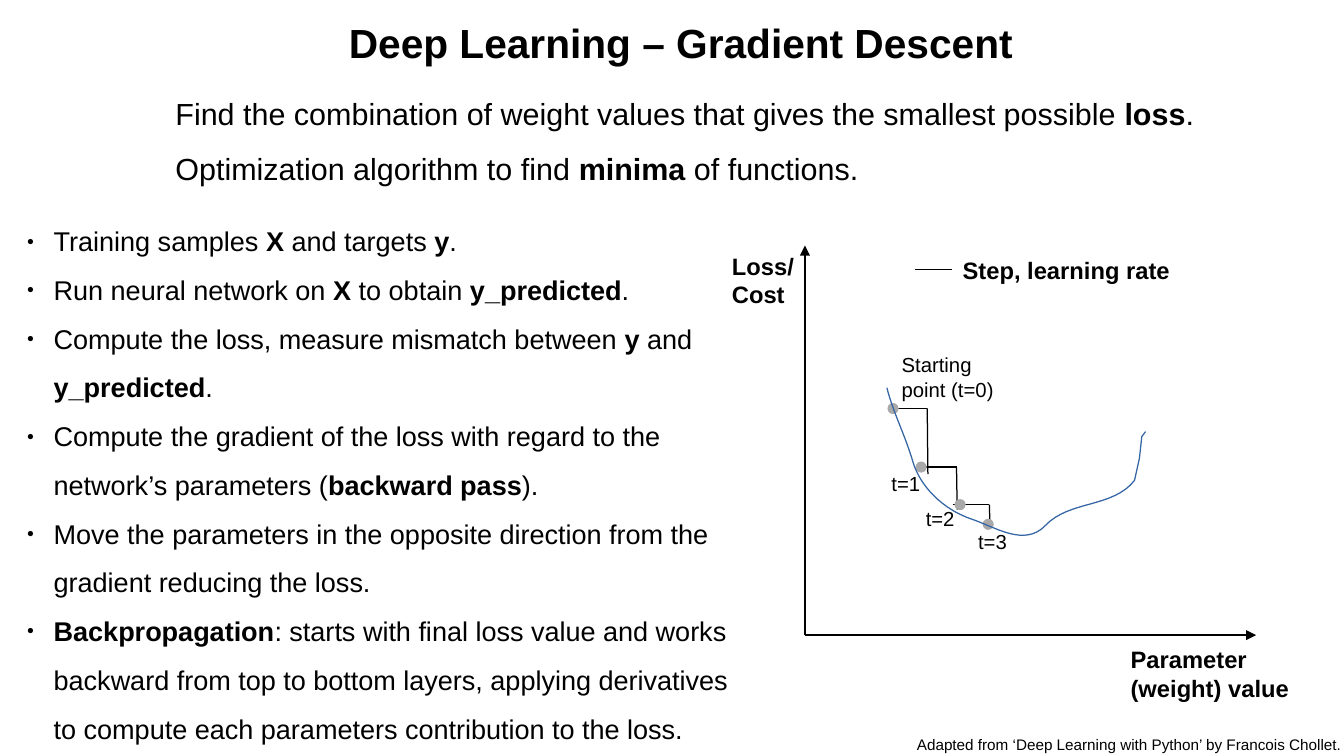
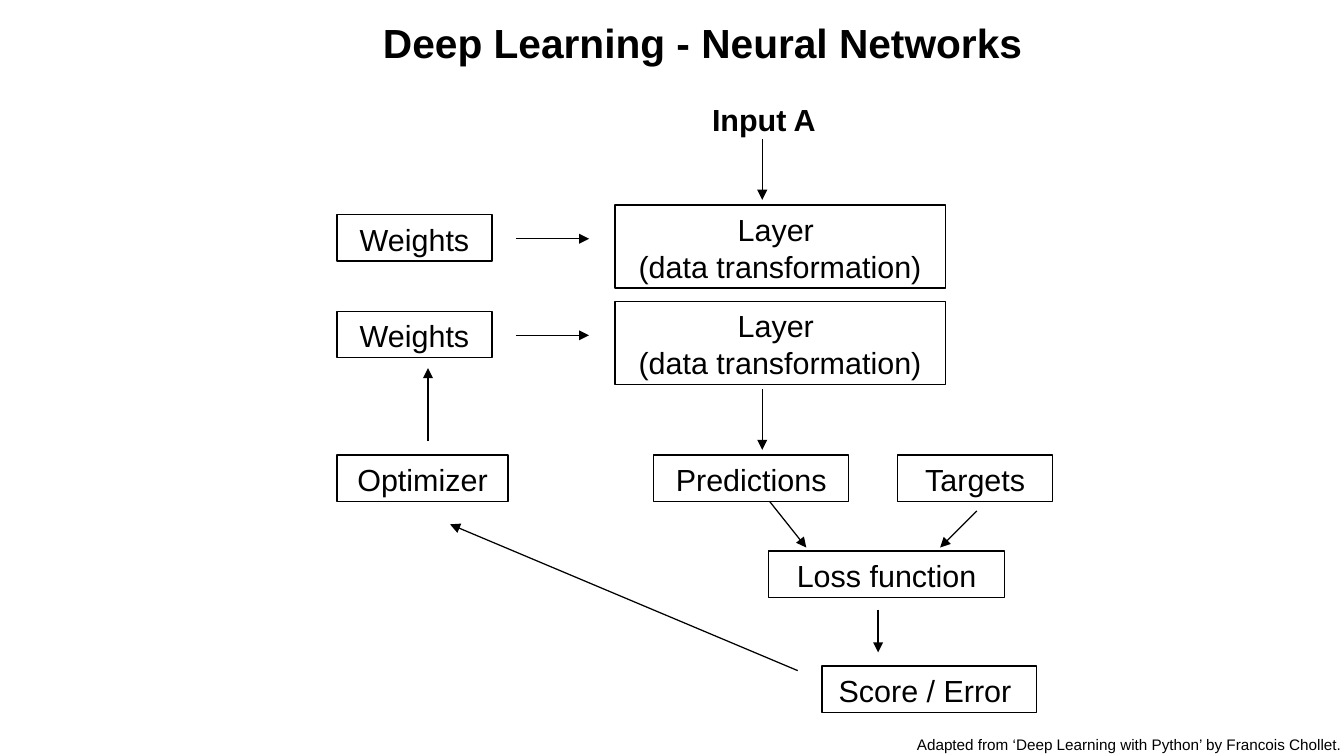
from lxml.etree import SubElement
from pptx import Presentation
from pptx.dml.color import RGBColor
from pptx.enum.shapes import MSO_CONNECTOR, MSO_SHAPE
from pptx.enum.text import MSO_ANCHOR, MSO_AUTO_SIZE, PP_ALIGN
from pptx.oxml.ns import qn
from pptx.util import Pt

WIDE, HIGH = 793.44, 446.4
FONT = "Arial"
HUES = {"ink": "000000", "dot": "A9A9A9", "curve": "3465A4"}
CREDIT = "Adapted from ‘Deep Learning with Python’ by Francois Chollet."

GOALS = [
    "Find the combination of weight values that gives the smallest possible *loss*.",
    "Optimization algorithm to find *minima* of functions.",
]
STEPS = [
    "Training samples *X* and targets *y*.",
    "Run neural network on *X* to obtain *y_predicted*.",
    "Compute the loss, measure mismatch between *y* and *y_predicted*.",
    "Compute the gradient of the loss with regard to the network’s parameters "
    "(*backward pass*).",
    "Move the parameters in the opposite direction from the gradient reducing the loss.",
    "*Backpropagation*: starts with final loss value and works backward from top to "
    "bottom layers, applying derivatives to compute each parameters contribution "
    "to the loss.",
]


def hue(name):
    return RGBColor.from_string(HUES[name])


def place(shape, box):
    shape.left, shape.top, shape.width, shape.height = map(Pt, box)


def shift(box, x, y):
    """Turn a point inside a box into a point on the slide."""
    return box[0] + x, box[1] + y


def bullet(para):
    props = para._p.get_or_add_pPr()
    props.set("marL", str(Pt(17.28)))
    props.set("indent", str(Pt(-15.84)))
    color = SubElement(props, qn("a:buClr"))
    SubElement(color, qn("a:srgbClr")).set("val", HUES["ink"])
    SubElement(props, qn("a:buSzPct")).set("val", "45000")
    SubElement(props, qn("a:buFont")).set("typeface", FONT)
    SubElement(props, qn("a:buChar")).set("char", "●")


def write(shape, lines, size, bold=False, align=PP_ALIGN.LEFT, space=1.0, dots=False):
    """Fill a shape with paragraphs; words between asterisks turn bold."""
    frame = shape.text_frame
    frame.word_wrap = True
    frame.auto_size = MSO_AUTO_SIZE.NONE
    frame.vertical_anchor = MSO_ANCHOR.TOP
    frame.margin_left = frame.margin_right = Pt(7.2)
    frame.margin_top = frame.margin_bottom = Pt(3.6)
    for i, line in enumerate(lines):
        para = frame.add_paragraph() if i else frame.paragraphs[0]
        if dots:
            bullet(para)
        para.alignment = align
        para.line_spacing = space
        para.space_before = para.space_after = Pt(0)
        for j, part in enumerate(line.split("*")):
            if not part:
                continue
            run = para.add_run()
            run.text = part
            run.font.name = FONT
            run.font.size = Pt(size)
            run.font.bold = bold or j % 2 == 1
            run.font.color.rgb = hue("ink")


def label(slide, box, lines, size, **style):
    shape = slide.shapes.add_textbox(*map(Pt, box))
    write(shape, lines, size, **style)
    return shape


def stroke(shape, name="ink"):
    shape.line.color.rgb = hue(name)
    shape.line.width = Pt(0.75)


def link(slide, start, end, arrow=False):
    line = slide.shapes.add_connector(
        MSO_CONNECTOR.STRAIGHT, *map(Pt, (*start, *end)))
    stroke(line)
    props = line._element.spPr
    if arrow:
        SubElement(props.find(qn("a:ln")), qn("a:tailEnd")).set("type", "triangle")
    SubElement(props, qn("a:effectLst"))


def node(slide, box, lines):
    shape = slide.shapes.add_shape(MSO_SHAPE.RECTANGLE, *map(Pt, box))
    shape.shadow.inherit = False
    shape.fill.background()
    stroke(shape)
    write(shape, lines, 18, align=PP_ALIGN.CENTER)


def start(deck, layout, title, box):
    """Add a slide with the shared title style and credit line."""
    slide = deck.slides.add_slide(deck.slide_layouts[layout])
    place(slide.shapes.title, box)
    write(slide.shapes.title, [title], 24, bold=True)
    left, top = 534.24, 430.56
    credit = label(slide, (left, top, WIDE - left, HIGH - top), [CREDIT], 9)
    credit.text_frame.margin_right = Pt(0)
    credit.text_frame.word_wrap = False
    return slide


def bezier(a, b, c, d, count=16):
    """Sample a cubic curve, leaving out its first point."""
    for i in range(1, count + 1):
        t = i / count
        u = 1 - t
        yield tuple(u**3 * p + 3 * u * u * t * q + 3 * u * t * t * r + t**3 * s
                    for p, q, r, s in zip(a, b, c, d))


def curve(slide, box):
    knots = [
        (48.4, 84), (52, 98.4), (59.2, 112), (63.6, 127.2),
        (67.9, 142.3), (81.6, 156), (98.8, 161.7),
        (111.8, 166), (129.8, 178.3), (142, 165.3),
        (156.4, 150.2), (181.6, 155.2), (194.6, 138.7),
    ]
    points = [knots[0]]
    for i in range(0, len(knots) - 1, 3):
        points += bezier(*knots[i:i + 4])
    points += [(197.5, 125.7), (198.9, 112.8), (201.1, 109.9)]
    spots = [tuple(map(Pt, shift(box, *point))) for point in points]
    pen = slide.shapes.build_freeform(*spots[0], scale=1.0)
    pen.add_line_segments(spots[1:], close=False)
    shape = pen.convert_to_shape()
    shape.shadow.inherit = False
    shape.fill.background()
    stroke(shape, "curve")


def plot(slide, box):
    """Draw the loss curve, its axes and the descent steps."""
    wide, high = box[2:]
    base = shift(box, 0, high)
    for end in ((0, 0), (wide, high)):
        link(slide, base, shift(box, *end), arrow=True)
    link(slide, shift(box, 65, 14), shift(box, 86.6, 14))

    for x, y, w, h, text, size, bold in (
        (-50.2, 0, 71, 40, "Loss/ Cost", 14, True),
        (185.2, high + 2.3, 111, 40, "Parameter (weight) value", 14, True),
        (86, 2.6, 140, 23, "Step, learning rate", 14, True),
        (50, 59.5, 70, 35, "Starting point (t=0)", 12, False),
        (44, 130, 42, 20, "t=1", 12, False),
        (64.3, 150.2, 42, 20, "t=2", 12, False),
        (95.2, 163.9, 42, 20, "t=3", 12, False),
    ):
        label(slide, (*shift(box, x, y), w, h), [text], size, bold=bold)

    run = 21.6
    for x, y, drop in ((50.6, 96.2, 38.8), (67.9, 130.8, 25.2), (87.3, 153, 13)):
        turn = shift(box, x + run, y)
        link(slide, shift(box, x, y), turn)
        link(slide, turn, shift(box, x + run + 0.4, y + drop))

    size = 5.8
    for x, y in ((52, 96.2), (68.6, 130.8), (91.6, 153), (108.2, 164.6)):
        spot = shift(box, x - size / 2, y - size / 2)
        dot = slide.shapes.add_shape(MSO_SHAPE.OVAL, *map(Pt, (*spot, size, size)))
        dot.shadow.inherit = False
        dot.fill.solid()
        dot.fill.fore_color.rgb = hue("dot")
        stroke(dot, "dot")
    curve(slide, box)


def network(slide, box):
    """Draw the training loop of a two-layer network."""
    label(slide, (*shift(box, 214.3, 0), 78, 28), ["Input A"], 18, bold=True)
    tall, pitch = 27.4, 57
    for i in range(2):
        y = i * pitch
        node(slide, (*shift(box, 164, 65 + y), 195, 49),
             ["Layer ", "(data transformation)"])
        node(slide, (*shift(box, 0, 70.8 + y), 91.5, tall), ["Weights"])
        link(slide, shift(box, 105.6, 85 + y), shift(box, 148.8, 85 + y), arrow=True)

    row = 212.6
    for x, y, w, text in (
        (0, row, 101, "Optimizer"),
        (187, row, 115, "Predictions"),
        (331, row, 91.5, "Targets"),
        (254.6, 269.4, 139.7, "Loss function"),
        (286.3, 337.2, 126.7, "Score / Error "),
    ):
        node(slide, (*shift(box, x, y), w, tall), [text])

    for tail, head in (
        ((251, 26), (251, 62)),
        ((251, 173.7), (251, 209.7)),
        ((255.3, 240), (277, 267.3)),
        ((377.7, 245.7), (356, 267.3)),
        ((319.4, 304), (319.4, 329.2)),
        ((272, 340), (66.7, 253.6)),
        ((53.7, 204.6), (53.7, 161.4)),
    ):
        link(slide, shift(box, *tail), shift(box, *head), arrow=True)


def main():
    deck = Presentation()
    deck.slide_width, deck.slide_height = Pt(WIDE), Pt(HIGH)

    slide = start(deck, 1, "Deep Learning – Gradient Descent", (198.72, 7.2, 413, 34))
    label(slide, (96.5, 41.76, 692.6, 70.6), GOALS, 18, space=1.5)
    body = slide.placeholders[1]
    place(body, (7.2, 119.5, 437.8, 322.6))
    write(body, STEPS, 16, space=1.5, dots=True)
    plot(slide, (475.2, 145, 266.4, 230))

    slide = start(deck, 5, "Deep Learning - Neural Networks", (218.9, 7.2, 396, 34))
    network(slide, (199, 56, 423, 365))
    deck.save("out.pptx")


if __name__ == "__main__":
    main()
